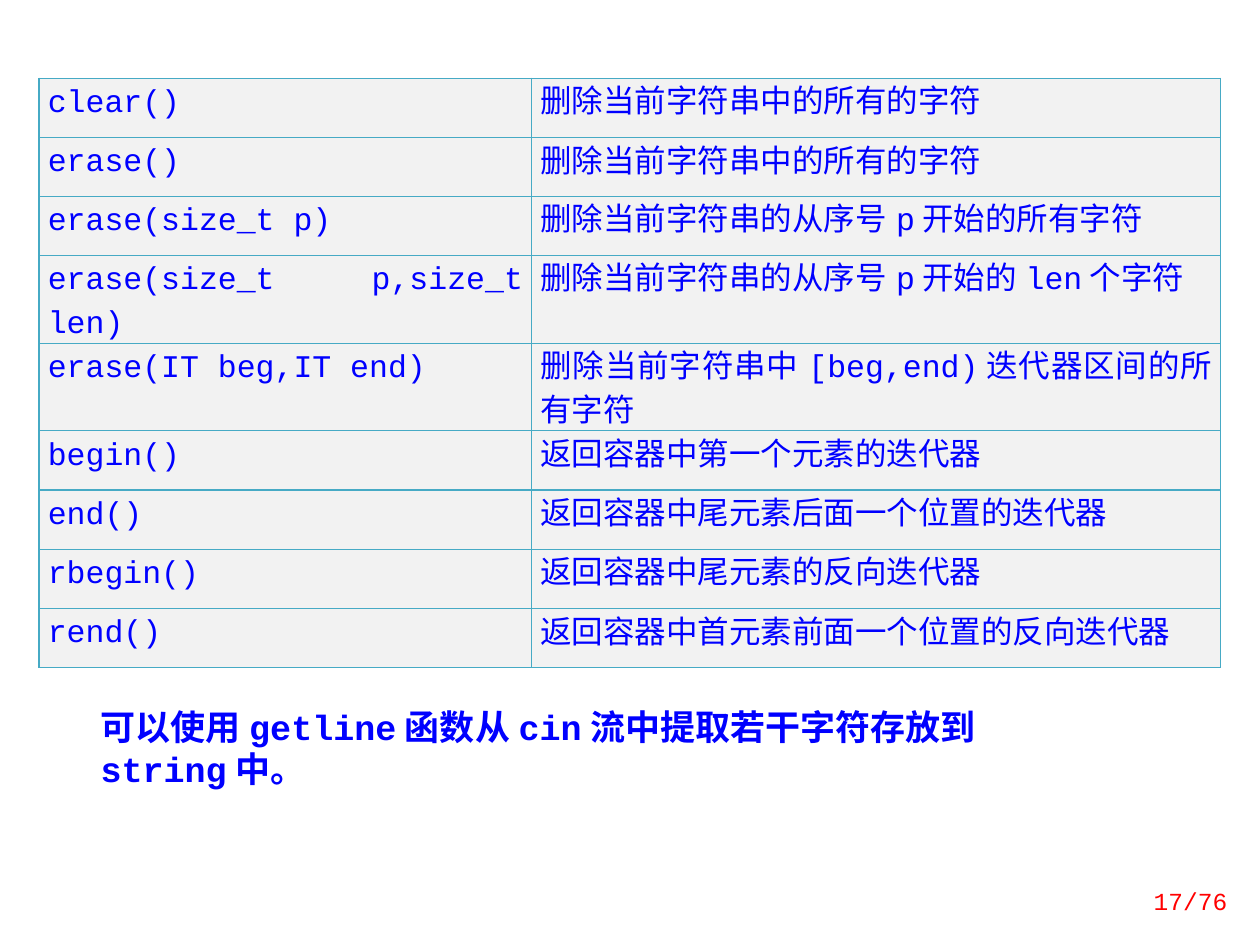
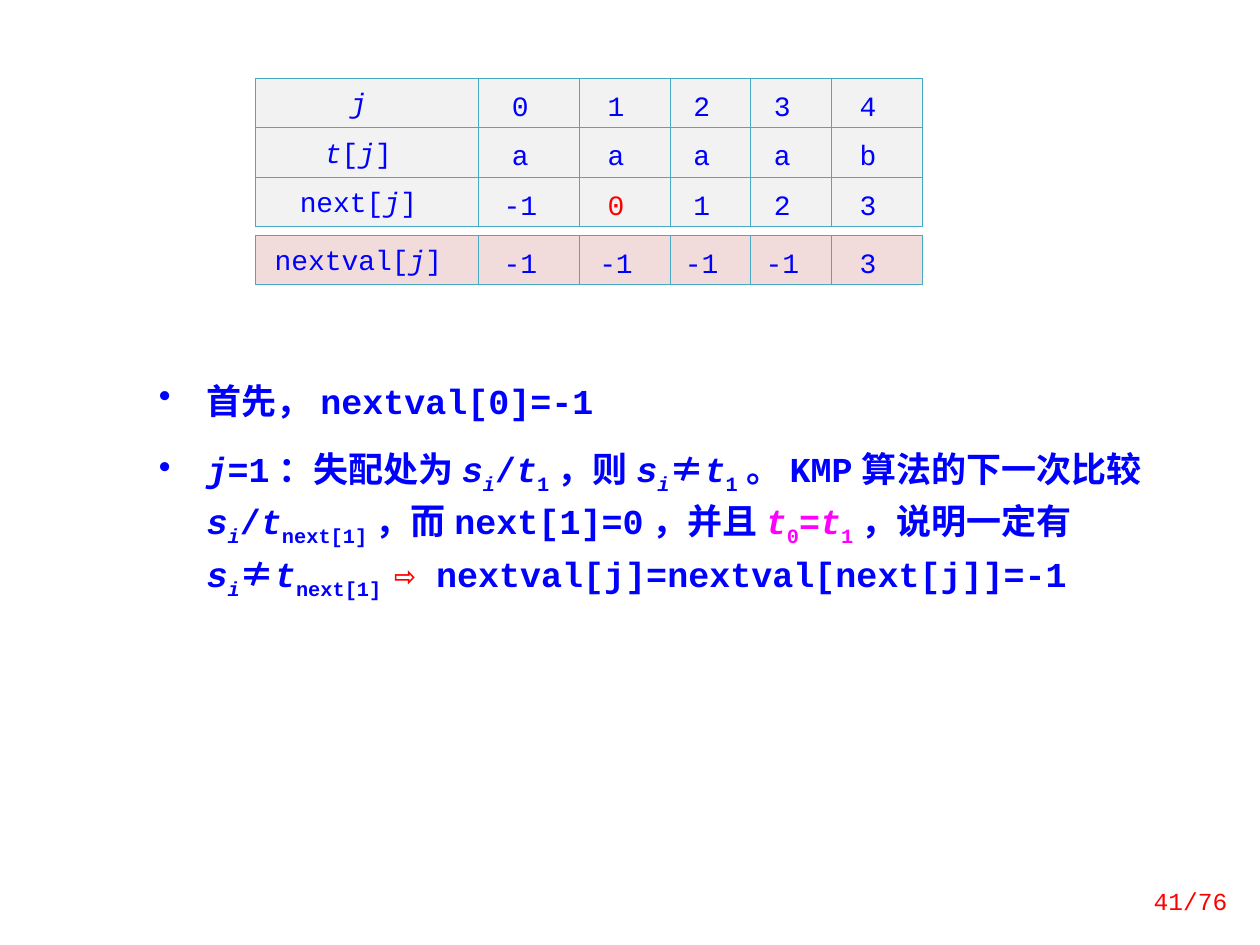
from dataclasses import dataclass
from typing import NamedTuple

from lxml import etree
from pptx import Presentation
from pptx.dml.color import RGBColor
from pptx.enum.shapes import MSO_SHAPE
from pptx.enum.text import MSO_ANCHOR, PP_ALIGN
from pptx.oxml.ns import qn
from pptx.util import Inches, Pt

RECT = MSO_SHAPE.RECTANGLE
TOP, MIDDLE = MSO_ANCHOR.TOP, MSO_ANCHOR.MIDDLE
LEFT, CENTER = PP_ALIGN.LEFT, PP_ALIGN.CENTER
RIGHT, JUSTIFY = PP_ALIGN.RIGHT, PP_ALIGN.JUSTIFY

BLUE = RGBColor(0x00, 0x00, 0xFF)
RED = RGBColor(0xFF, 0x00, 0x00)
PINK = RGBColor(0xFF, 0x00, 0xFF)
TEAL = RGBColor(0x46, 0xAA, 0xC5)
GREY = RGBColor(0xF2, 0xF2, 0xF2)
ROSE = RGBColor(0xF2, 0xDC, 0xDB)
WHITE = RGBColor(0xFF, 0xFF, 0xFF)

MONO, HAN = "Courier New", "Noto Sans CJK SC"
COLS, ROWS = 100, 75
UNIT = Inches(0.1)
PAGES = 76


class Box(NamedTuple):
    """Place and size in grid columns and rows."""
    x: float
    y: float
    w: float
    h: float


@dataclass(frozen=True)
class Style:
    size: float
    color: RGBColor = BLUE
    bold: bool = False
    align: PP_ALIGN = LEFT
    pitch: float = 0
    right: float = 0


@dataclass(frozen=True)
class Grid:
    box: Box
    cols: tuple[float, ...]
    rows: tuple[float, ...]
    fill: RGBColor
    style: Style
    anchor: MSO_ANCHOR


LIST = Style(18, align=JUSTIFY, pitch=25)
CELL = Style(16, align=CENTER, pitch=25, right=1.4)
NOTE = Style(20, bold=True)
POINT = Style(20, bold=True, pitch=30)
PAGE = Style(14, RED, align=RIGHT)

NOTE_BOX = Box(7, 55.5, 82, 4.4)
POINT_BOX = Box(10.2, 27.7, 82.8, 21.3)
PAGE_BOX = Box(87.8, 69.5, 10.6, 4)

STEPS = (17.7, 8, 7.2, 6.4, 6.4, 7.2)
METHODS = Grid(Box(3.1, 6.2, 93.8, 44.2), (39.1, 54.7),
               (4.7,) * 4 + (6.5,) + (4.7,) * 4, GREY, LIST, TOP)
NEXT = Grid(Box(20.3, 6.2, 53.1, 11.8), STEPS, (3.93,) * 3, GREY, CELL, MIDDLE)
NEXTVAL = Grid(Box(20.3, 18.7, 53.1, 3.9), STEPS, (3.9,), ROSE, CELL, MIDDLE)

# Marks in text: *italic*, ~subscript~, ^pink^, !red!
METHOD_ROWS = [
    ("clear()", "删除当前字符串中的所有的字符"),
    ("erase()", "删除当前字符串中的所有的字符"),
    ("erase(size_t p)", "删除当前字符串的从序号p开始的所有字符"),
    ("erase(size_t p,size_t len)", "删除当前字符串的从序号p开始的len个字符"),
    ("erase(IT beg,IT end)", "删除当前字符串中[beg,end)迭代器区间的所有字符"),
    ("begin()", "返回容器中第一个元素的迭代器"),
    ("end()", "返回容器中尾元素后面一个位置的迭代器"),
    ("rbegin()", "返回容器中尾元素的反向迭代器"),
    ("rend()", "返回容器中首元素前面一个位置的反向迭代器"),
]
NEXT_ROWS = [
    ("*j*", "0", "1", "2", "3", "4"),
    ("*t*[*j*]", "a", "a", "a", "a", "b"),
    ("next[*j*]", "-1", "!0!", "1", "2", "3"),
]
NEXTVAL_ROWS = [("nextval[*j*]", "-1", "-1", "-1", "-1", "3")]
GETLINE = "可以使用getline函数从cin流中提取若干字符存放到string中。"
POINTS = [
    "首先，nextval[0]=-1",
    "*j*=1：失配处为*s~i~*/*t*~1~，则*s~i~*≠*t*~1~。KMP算法的下一次比较"
    "*s~i~*/*t*~next[1]~，而next[1]=0，并且^*t*~0~=*t*~1~^，说明一定有"
    "*s~i~*≠*t*~next[1] ~!⇨ !nextval[j]=nextval[next[j]]=-1",
]


def span(n: float) -> int:
    return round(n * UNIT)


def place(box: Box) -> list[int]:
    return [span(n) for n in box]


def put(obj, **vals) -> None:
    for name, val in vals.items():
        setattr(obj, name, val)


def split(text: str):
    """Yield each piece of marked text with the set of marks that hold there."""
    live, piece = set(), ""
    for char in text.replace("≠", "#≠#") + "#":
        if char not in "*~^!#":
            piece += char
            continue
        if piece:
            yield piece, frozenset(live)
        piece = ""
        live ^= {char}


def write(para, text: str, style: Style) -> None:
    para.alignment = style.align
    if style.pitch:
        para.line_spacing = Pt(style.pitch)
    if style.right:
        para._p.get_or_add_pPr().set("marR", str(span(style.right)))
    for piece, marks in split(text):
        run = para.add_run()
        run.text = piece
        color = PINK if "^" in marks else RED if "!" in marks else style.color
        put(run.font, size=Pt(style.size), bold=style.bold, italic="*" in marks,
            name=HAN if "#" in marks else MONO)
        run.font.color.rgb = color
        props = run._r.get_or_add_rPr()
        etree.SubElement(props, qn("a:ea"), typeface=HAN)
        if "~" in marks:
            props.set("baseline", "-25000")


def edge(cell) -> None:
    """Draw all four borders of a cell; call before its fill is set."""
    props = cell._tc.get_or_add_tcPr()
    for side in "LRTB":
        line = etree.SubElement(props, qn(f"a:ln{side}"), w=str(Pt(0.75)))
        fill = etree.SubElement(line, qn("a:solidFill"))
        etree.SubElement(fill, qn("a:srgbClr"), val=str(TEAL))


def add_grid(slide, grid: Grid, data: list[tuple[str, ...]]) -> None:
    table = slide.shapes.add_table(
        len(grid.rows), len(grid.cols), *place(grid.box)).table
    put(table, first_row=False, horz_banding=False)
    for col, wide in zip(table.columns, grid.cols):
        col.width = span(wide)
    for row, high, texts in zip(table.rows, grid.rows, data):
        row.height = span(high)
        for at, (cell, text) in enumerate(zip(row.cells, texts)):
            put(cell, margin_left=span(0.7), margin_right=span(0.7),
                margin_top=0, margin_bottom=0,
                vertical_anchor=grid.anchor if at else TOP)
            edge(cell)
            cell.fill.solid()
            cell.fill.fore_color.rgb = grid.fill
            write(cell.text_frame.paragraphs[0], text, grid.style)


def add_text(slide, box: Box, text: str, style: Style,
             anchor: MSO_ANCHOR = TOP) -> None:
    frame = slide.shapes.add_textbox(*place(box)).text_frame
    put(frame, word_wrap=True, vertical_anchor=anchor)
    write(frame.paragraphs[0], text, style)


def add_points(slide, box: Box, texts: list[str]) -> None:
    shape = slide.shapes.add_shape(RECT, *place(box))
    shape.shadow.inherit = False
    shape.fill.solid()
    shape.fill.fore_color.rgb = WHITE
    shape.line.fill.background()
    frame = shape.text_frame
    put(frame, word_wrap=True, vertical_anchor=TOP, margin_left=span(2.4),
        margin_right=span(1), margin_top=span(1.6), margin_bottom=span(1.6))
    for at, text in enumerate(texts):
        para = frame.add_paragraph() if at else frame.paragraphs[0]
        props = para._p.get_or_add_pPr()
        props.set("marL", str(span(3.8)))
        props.set("indent", str(-span(3.8)))
        etree.SubElement(props, qn("a:buChar"), char="•")
        if at:
            para.space_before = Pt(12)
        write(para, text, POINT)


def add_page(deck, page: int):
    """Add a blank slide with its page number."""
    slide = deck.slides.add_slide(deck.slide_layouts.get_by_name("Blank"))
    add_text(slide, PAGE_BOX, f"{page}/{PAGES}", PAGE, MIDDLE)
    return slide


def main() -> None:
    deck = Presentation()
    put(deck, slide_width=span(COLS), slide_height=span(ROWS))

    slide = add_page(deck, 17)
    add_grid(slide, METHODS, METHOD_ROWS)
    add_text(slide, NOTE_BOX, GETLINE, NOTE)

    slide = add_page(deck, 41)
    add_grid(slide, NEXT, NEXT_ROWS)
    add_grid(slide, NEXTVAL, NEXTVAL_ROWS)
    add_points(slide, POINT_BOX, POINTS)

    deck.save("out.pptx")


if __name__ == "__main__":
    main()
